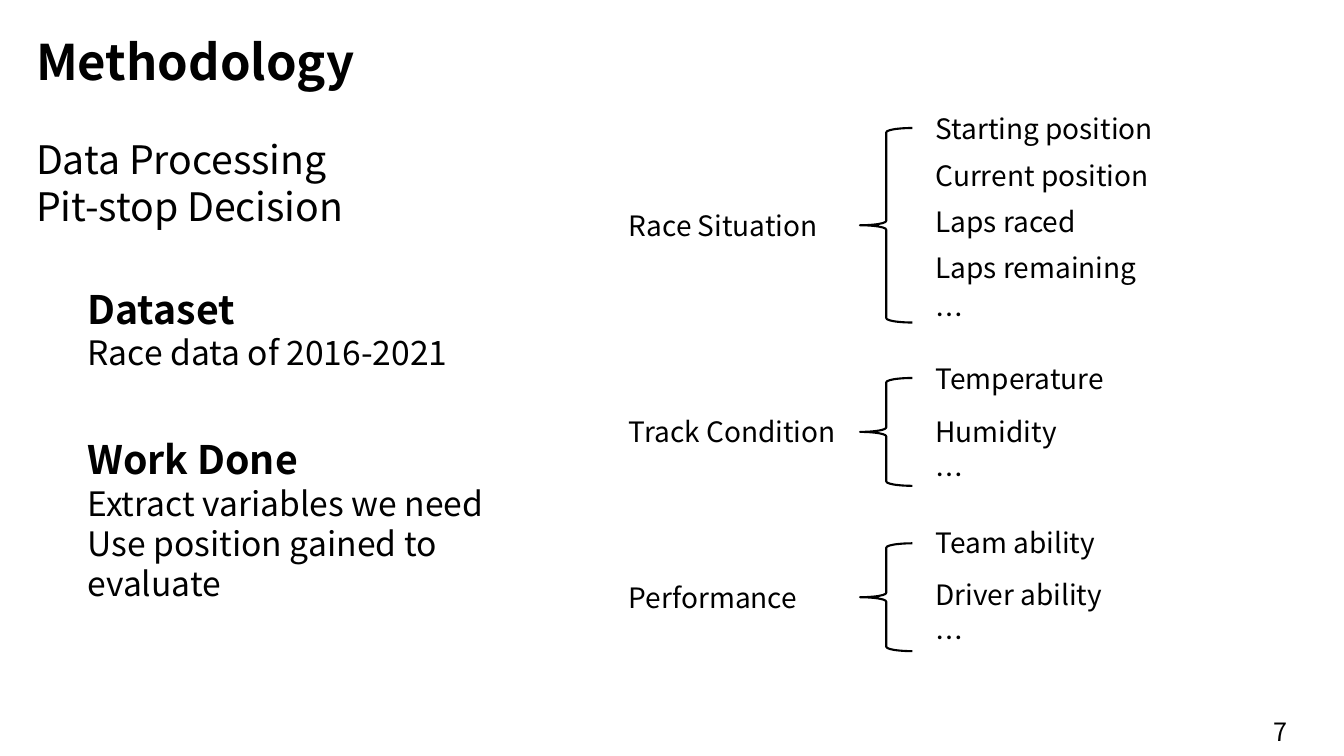
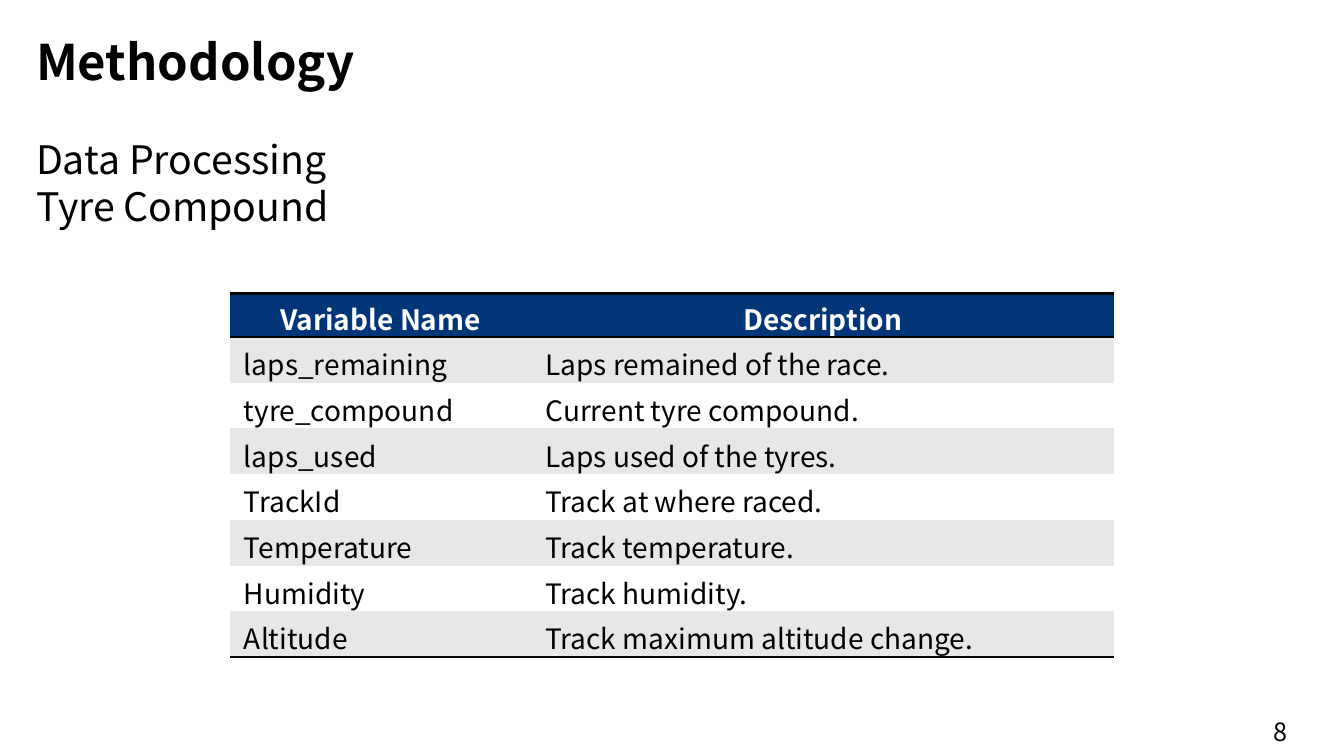
from lxml import etree
from pptx import Presentation
from pptx.dml.color import RGBColor
from pptx.enum.shapes import MSO_SHAPE as Shape
from pptx.enum.text import MSO_ANCHOR as Anchor, PP_ALIGN as Align
from pptx.oxml.ns import qn
from pptx.util import Inches, Pt

FONT = "Noto Sans CJK SC"
COLORS = {"black": "000000", "white": "FFFFFF", "navy": "003677", "grey": "E7E7E7"}


def style_paragraph(paragraph, text, size, bold=False, color="black"):
    paragraph.text = text
    font = paragraph.font
    font.name = FONT
    font.size = Pt(size)
    font.bold = bold
    font.color.rgb = RGBColor.from_string(COLORS[color])
    east_asian = etree.SubElement(font._element, qn("a:ea"))
    east_asian.set("typeface", FONT)


def add_text(slide, left, top, width, height, *lines):
    box = slide.shapes.add_textbox(Inches(left), Inches(top), Inches(width), Inches(height))
    frame = box.text_frame
    frame.word_wrap = True
    for index, line in enumerate(lines):
        paragraph = frame.add_paragraph() if index else frame.paragraphs[0]
        style_paragraph(paragraph, *line)
    return frame


presentation = Presentation()
presentation.slide_width = Inches(13.33)
presentation.slide_height = Inches(7.5)

slides = []
for number, topic in ((7, "Pit-stop Decision"), (8, "Tyre Compound")):
    slide = presentation.slides.add_slide(presentation.slide_layouts[6])
    title = add_text(slide, 0.26, 0, 13.07, 1.29, ("Methodology", 35, True))
    title.vertical_anchor = Anchor.MIDDLE
    title.paragraphs[0].line_spacing = 0.9
    add_text(slide, 0.26, 1.29, 4, 1.04, ("Data Processing", 28), (topic, 28))
    add_text(slide, 12.53, 7.06, 0.8, 0.4, (str(number), 18))
    slides.append(slide)
decision_slide, tyre_slide = slides

add_text(decision_slide, 0.77, 2.78, 5.03, 0.98,
         ("Dataset", 28, True), ("Race data of 2016-2021", 24))
add_text(decision_slide, 0.77, 4.27, 5.03, 1.78,
         ("Work Done", 28, True), ("Extract variables we need", 24),
         ("Use position gained to evaluate", 24))

factor_groups = [
    ("Race Situation", 1.27, 1.93, 1.06, 0.46, 0.46,
     ["Starting position", "Current position", "Laps raced", "Laps remaining"]),
    ("Track Condition", 3.75, 1.07, 3.54, 0.52, 0.43, ["Temperature", "Humidity"]),
    ("Performance", 5.39, 1.07, 5.16, 0.52, 0.43, ["Team ability", "Driver ability"]),
]
for label, brace_top, brace_height, item_top, step, last_step, items in factor_groups:
    add_text(decision_slide, 6.14, brace_top + brace_height / 2 - 0.22, 2.4, 0.44, (label, 20))
    brace = decision_slide.shapes.add_shape(
        Shape.LEFT_BRACE, Inches(8.53), Inches(brace_top), Inches(0.52), Inches(brace_height))
    brace.shadow.inherit = False
    brace.fill.background()
    brace.line.color.rgb = RGBColor.from_string(COLORS["black"])
    brace.line.width = Pt(1.5)
    for index, item in enumerate(items):
        add_text(decision_slide, 9.18, item_top + index * step, 2.8, 0.44, (item, 20))
    ellipsis_top = item_top + (len(items) - 1) * step + last_step
    add_text(decision_slide, 9.18, ellipsis_top, 0.5, 0.44, ("…", 20))

variables = [
    ("Variable Name", "Description"),
    ("laps_remaining", "Laps remained of the race."),
    ("tyre_compound", "Current tyre compound."),
    ("laps_used", "Laps used of the tyres."),
    ("TrackId", "Track at where raced."),
    ("Temperature", "Track temperature."),
    ("Humidity", "Track humidity."),
    ("Altitude", "Track maximum altitude change."),
]
last_row = len(variables) - 1
table = tyre_slide.shapes.add_table(
    len(variables), 2, Inches(2.28), Inches(2.91), Inches(8.77), Inches(3.28)).table
for column, width in zip(table.columns, (2.99, 5.78)):
    column.width = Inches(width)

for row_index, texts in enumerate(variables):
    is_header = row_index == 0
    table.rows[row_index].height = Inches(0.41)
    ruled_edges = set()
    if row_index <= 1:
        ruled_edges.add("lnT")
    if row_index in (0, last_row):
        ruled_edges.add("lnB")
    for column_index, text in enumerate(texts):
        cell = table.cell(row_index, column_index)
        paragraph = cell.text_frame.paragraphs[0]
        style_paragraph(paragraph, text, 20, is_header, "white" if is_header else "black")
        if is_header:
            paragraph.alignment = Align.CENTER
            fill = "navy"
        else:
            cell.vertical_anchor = Anchor.MIDDLE
            cell.margin_left = cell.margin_right = Inches(0.14)
            cell.margin_top = cell.margin_bottom = Inches(0.06)
            fill = "grey" if row_index % 2 else "white"
        properties = cell._tc.get_or_add_tcPr()
        for edge in ("lnL", "lnR", "lnT", "lnB"):
            border = etree.SubElement(properties, qn(f"a:{edge}"))
            if edge in ruled_edges:
                border.set("w", str(Pt(2)))
                solid = etree.SubElement(border, qn("a:solidFill"))
                etree.SubElement(solid, qn("a:srgbClr")).set("val", COLORS["black"])
            else:
                etree.SubElement(border, qn("a:noFill"))
        cell.fill.solid()
        cell.fill.fore_color.rgb = RGBColor.from_string(COLORS[fill])

presentation.save("out.pptx")
